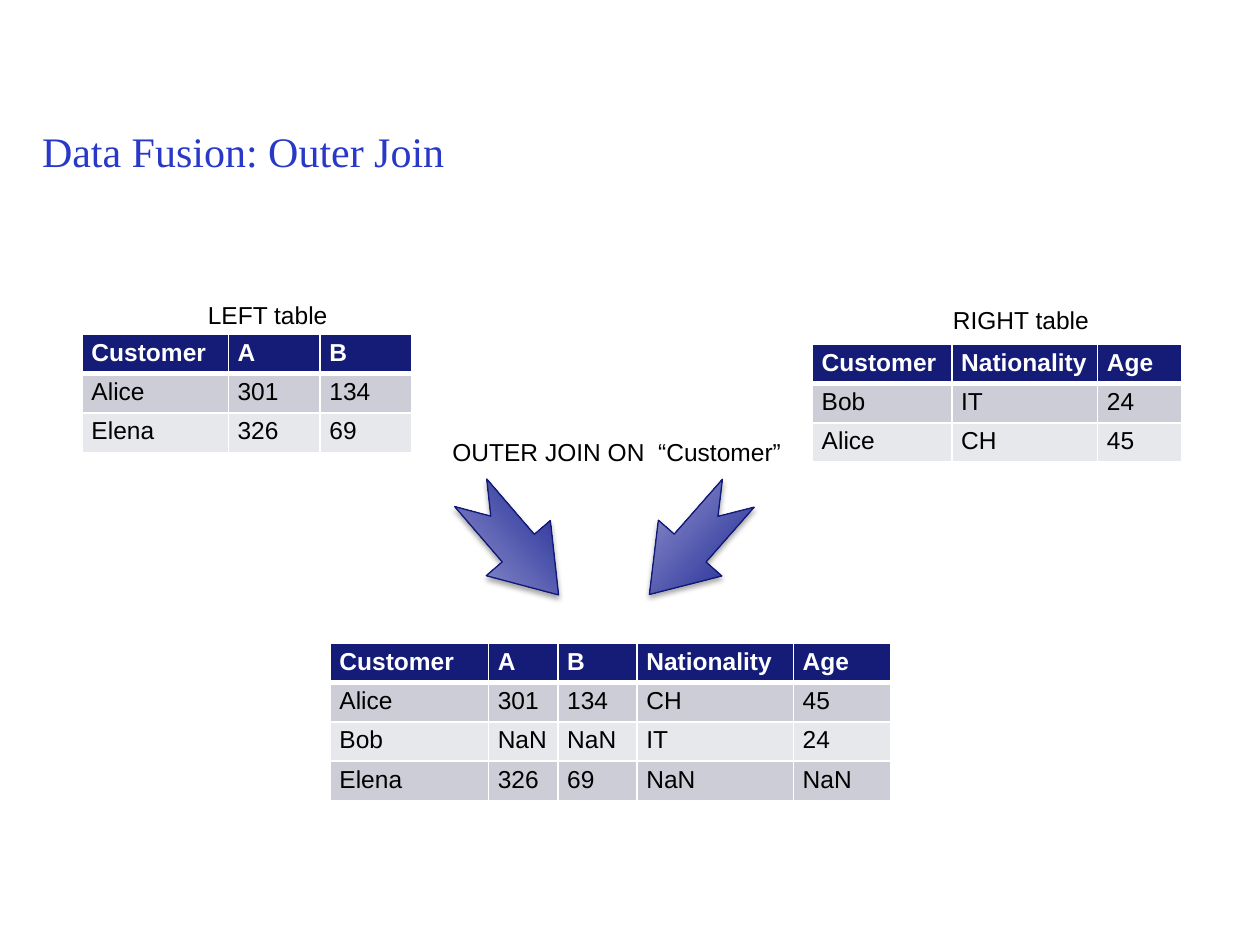
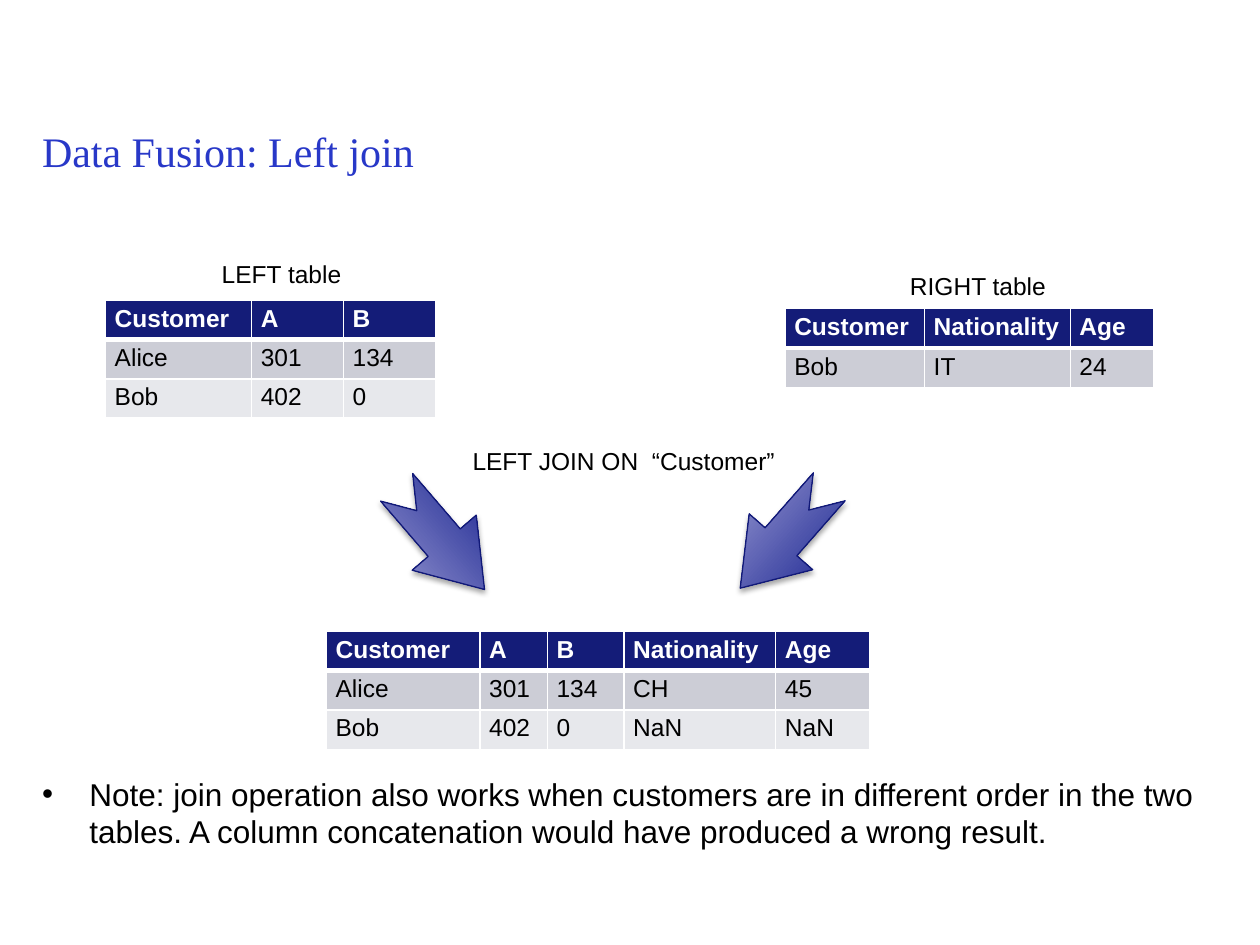
from lxml import etree
from pptx import Presentation, util as u
from pptx.dml.color import RGBColor
from pptx.enum import shapes, text
from pptx.oxml import ns, parse_xml

Pt = u.Pt
COLORS = {"title": "2838C8", "ink": "000000", "white": "FFFFFF", "head": "141C78",
          "odd": "CCCDD6", "even": "E7E8EC", "edge": "111978",
          "dark": "050F87", "light": "ACADDB"}
SANS, SERIF = "Arial", "Times New Roman"
STYLES = {
    "title": {"name": SERIF, "size": Pt(24), "color": "title"},
    "label": {"name": SANS, "size": Pt(14), "color": "ink"},
    "note": {"name": SANS, "size": Pt(18), "color": "ink"},
    "head": {"name": SANS, "size": Pt(14), "color": "white", "bold": True},
    "cell": {"name": SANS, "size": Pt(14), "color": "ink", "bold": False},
}
ROW = 22.5
ARROW = (77, 48.3)
TURNS = (49.3, 131.3)
CELL = {"margin_left": Pt(5.3), "margin_right": Pt(4.5),
        "margin_top": Pt(2.7), "margin_bottom": Pt(2.7)}

# Column widths and header of each kind of table
KINDS = {
    "left": ((83.5, 52.5, 52.5), ("Customer", "A", "B")),
    "right": ((79.7, 83.3, 48), ("Customer", "Nationality", "Age")),
    "joined": ((90.5, 39.7, 45.2, 89.4, 55.6),
               ("Customer", "A", "B", "Nationality", "Age")),
}

# Tables: kind, left, top, scale of widths, rows. Labels: text, left, top, width.
SLIDES = [
    {"title": "Data Fusion: Outer Join",
     "tables": [
         ("left", 47, 191, 1, [("Alice", "301", "134"), ("Elena", "326", "69")]),
         ("right", 464.3, 196.7, 1, [("Bob", "IT", "24"), ("Alice", "CH", "45")]),
         ("joined", 188.7, 367.5, 1, [("Alice", "301", "134", "CH", "45"),
                                      ("Bob", "NaN", "NaN", "IT", "24"),
                                      ("Elena", "326", "69", "NaN", "NaN")])],
     "arrows": [(255.6, 286.6), (358, 286.6)],
     "labels": [("OUTER JOIN ON  “Customer”", 258.5, 250, 188.6),
                ("LEFT table", 118.8, 171.2, 69.1),
                ("RIGHT table", 544.5, 174.2, 78.5)]},
    {"title": "Data Fusion: Left join",
     "tables": [
         ("left", 60.3, 171.5, 1, [("Alice", "301", "134"), ("Bob", "402", "0")]),
         ("right", 448.6, 176.4, 1, [("Bob", "IT", "24")]),
         ("joined", 186.5, 360.7, 0.97, [("Alice", "301", "134", "CH", "45"),
                                         ("Bob", "402", "0", "NaN", "NaN")])],
     "arrows": [(213.3, 283.5), (409.9, 283)],
     "labels": [("LEFT JOIN ON  “Customer”", 270, 254.7, 174.2),
                ("LEFT table", 126.7, 148, 69.1),
                ("RIGHT table", 520, 154.6, 78.5)],
     "note": "Note: join operation also works when customers are in different order "
             "in the two tables. A column concatenation would have produced a wrong "
             "result."},
]


def rgb(key):
    """Return a named colour."""
    return RGBColor.from_string(COLORS[key])


def put(obj, vals):
    """Set attributes from a dict."""
    for key, val in vals.items():
        setattr(obj, key, val)


def write(para, words, style):
    """Add one run in a named style."""
    run = para.add_run()
    run.text = words
    form = dict(STYLES[style])
    run.font.color.rgb = rgb(form.pop("color"))
    put(run.font, form)


def add_text(slide, words, box, style, wrap=True, before=0):
    """Add a text box without insets and return its paragraph."""
    frame = slide.shapes.add_textbox(*map(Pt, box)).text_frame
    put(frame, {"word_wrap": wrap, "vertical_anchor": text.MSO_ANCHOR.TOP,
                "margin_left": 0, "margin_right": 0,
                "margin_top": 0, "margin_bottom": 0})
    para = frame.paragraphs[0]
    para.space_before = Pt(before)
    write(para, words, style)
    return para


def add_note(slide, words):
    """Add the bulleted note with a hanging indent."""
    para = add_text(slide, words, (24, 442.6, 672, 63), "note")
    props = para._p.get_or_add_pPr()
    props.set("marL", str(Pt(27)))
    props.set("indent", str(-Pt(27)))
    etree.SubElement(props, ns.qn("a:buFont")).set("typeface", SANS)
    etree.SubElement(props, ns.qn("a:buChar")).set("char", "•")


def add_edges(cell, row):
    """Draw white cell borders, thick below the header row."""
    props = cell._tc.get_or_add_tcPr()
    thick = {(0, "B"), (1, "T")}
    for side in "LRTB":
        line = etree.SubElement(props, ns.qn("a:ln" + side))
        line.set("w", str(Pt(3 if (row, side) in thick else 1)))
        fill = etree.SubElement(line, ns.qn("a:solidFill"))
        etree.SubElement(fill, ns.qn("a:srgbClr")).set("val", COLORS["white"])


def add_grid(slide, kind, left, top, scale, rows):
    """Add a table with a dark header and banded rows."""
    widths, head = KINDS[kind]
    widths = [wide * scale for wide in widths]
    data = [head] + rows
    grid = slide.shapes.add_table(len(data), len(head), Pt(left), Pt(top),
                                  Pt(sum(widths)), Pt(ROW * len(data))).table
    for col, wide in zip(grid.columns, widths):
        col.width = Pt(wide)
    for r, line in enumerate(data):
        grid.rows[r].height = Pt(ROW)
        tint = "head" if r == 0 else "odd" if r % 2 else "even"
        for c, words in enumerate(line):
            cell = grid.cell(r, c)
            put(cell, CELL)
            add_edges(cell, r)
            cell.fill.solid()
            cell.fill.fore_color.rgb = rgb(tint)
            write(cell.text_frame.paragraphs[0], words, "cell" if r else "head")


def add_arrow(slide, spot, turn):
    """Add a shaded, notched arrow turned towards the joined table."""
    arrow = slide.shapes.add_shape(shapes.MSO_SHAPE.NOTCHED_RIGHT_ARROW,
                                   *map(Pt, spot + ARROW))
    arrow.rotation = turn
    arrow.adjustments[0], arrow.adjustments[1] = 0.5, 0.73
    props = arrow._element.spPr
    props.find(ns.qn("a:xfrm")).set("flipV", "1")
    arrow.fill.gradient()
    arrow.fill.gradient_angle = 90  # counter-clockwise, so it runs upwards
    for stop, key, at in zip(arrow.fill.gradient_stops, ("dark", "light"), (0, 1)):
        stop.color.rgb = rgb(key)
        stop.position = at
    arrow.line.color.rgb = rgb("edge")
    arrow.line.width = Pt(0.75)
    props.append(parse_xml(
        f'<a:effectLst {ns.nsdecls("a")}><a:outerShdw blurRad="{Pt(3.1)}" '
        f'dist="{Pt(1.8)}" dir="5400000" rotWithShape="0">'
        f'<a:srgbClr val="{COLORS["ink"]}"><a:alpha val="35000"/></a:srgbClr>'
        '</a:outerShdw></a:effectLst>'))


def build(deck, page):
    """Build one join slide."""
    slide = deck.slides.add_slide(deck.slide_layouts[6])
    add_text(slide, page["title"], (24, 71.6, 672, 57), "title")
    if "note" in page:
        add_note(slide, page["note"])
    for grid in page["tables"]:
        add_grid(slide, *grid)
    for spot, turn in zip(page["arrows"], TURNS):
        add_arrow(slide, spot, turn)
    for words, left, top, wide in page["labels"]:
        add_text(slide, words, (left, top, wide, 17), "label", False, 2.8)


deck = Presentation()
put(deck, {"slide_width": Pt(720), "slide_height": Pt(540)})
for page in SLIDES:
    build(deck, page)
deck.save("out.pptx")
